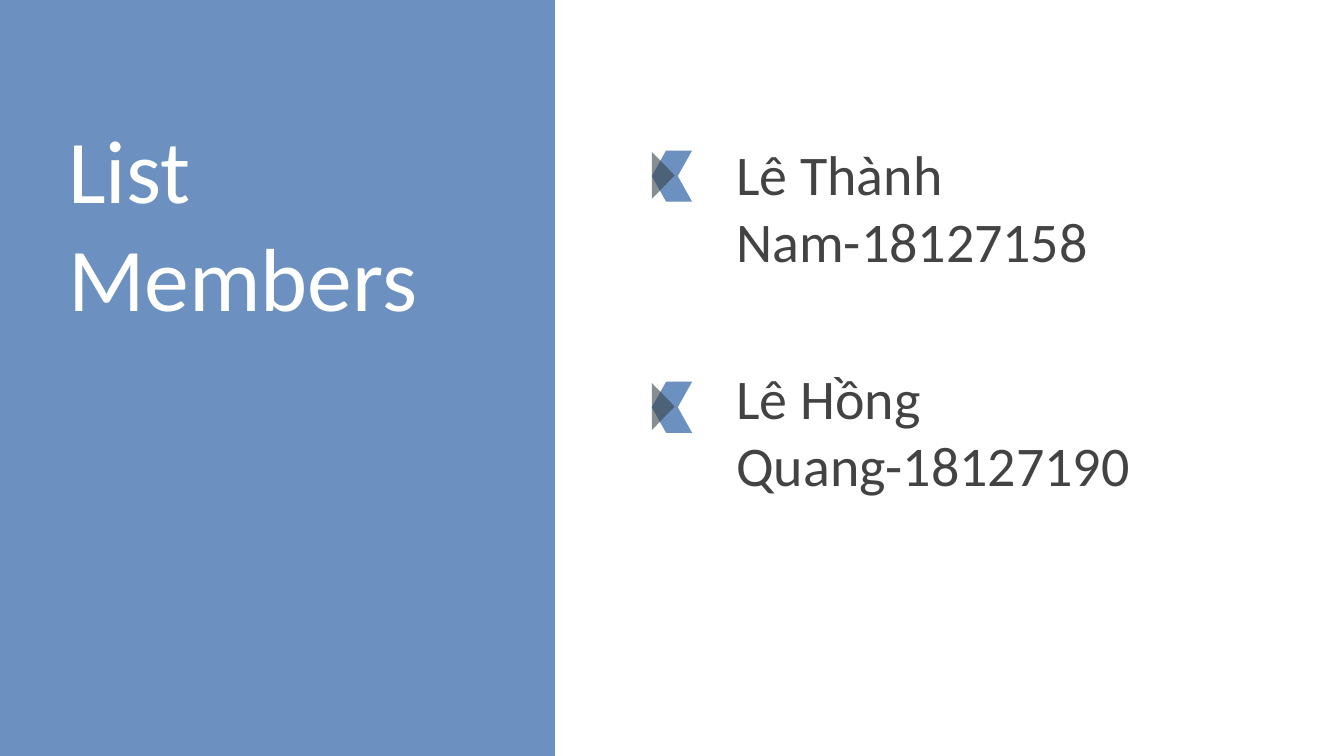
from lxml import etree
from pptx import Presentation
from pptx import util as u
from pptx.dml import color
from pptx.enum import shapes, text
from pptx.oxml import ns

BLUE, SLATE, GREY, WHITE = "5E85B9", "38444A", "434343", "FFFFFF"
KIND = shapes.MSO_SHAPE
WIDE = 10
HIGH = WIDE * 9 / 16


def rgb(code):
    return color.RGBColor.from_string(code)


class Deck:
    font = "Calibri"

    def __init__(self, wide, high):
        self.prs = Presentation()
        self.prs.slide_width = u.Inches(wide)
        self.prs.slide_height = u.Inches(high)
        self.slide = self.prs.slides.add_slide(self.prs.slide_layouts[6])

    def shape(self, kind, box, fill, alpha, adj=None, turn=0, flip=False):
        item = self.slide.shapes.add_shape(kind, *map(u.Inches, box))
        item.shadow.inherit = False
        item.line.fill.background()
        item.fill.solid()
        item.fill.fore_color.rgb = rgb(fill)
        item.rotation = turn
        if adj is not None:
            item.adjustments[0] = adj
        # Transparency and mirroring need XML
        node = item._element.spPr.find(".//" + ns.qn("a:srgbClr"))
        etree.SubElement(node, ns.qn("a:alpha"), val=str(alpha * 1000))
        if flip:
            item._element.spPr.find(ns.qn("a:xfrm")).set("flipH", "1")

    def label(self, words, box, size, ink, anchor):
        frame = self.slide.shapes.add_textbox(*map(u.Inches, box)).text_frame
        frame.word_wrap = True
        frame.vertical_anchor = anchor
        frame.margin_left = frame.margin_right = u.Inches(0.1)
        frame.margin_top = frame.margin_bottom = u.Inches(0.1)
        frame.text = words
        for para in frame.paragraphs:
            for run in para.runs:
                run.font.name = self.font
                run.font.size = u.Pt(size)
                run.font.color.rgb = rgb(ink)

    def mark(self, top):
        # Two mirrored slants with a triangle across them
        for row in range(2):
            self.shape(KIND.PARALLELOGRAM, (4.85, top + row * 0.19, 0.3, 0.19),
                       BLUE, 91, adj=0.56, flip=row == 1)
        self.shape(KIND.ISOSCELES_TRIANGLE, (4.76, top + 0.1, 0.35, 0.17),
                   SLATE, 60, adj=0.5, turn=90)


def main():
    deck = Deck(WIDE, HIGH)

    # Side panel and title
    deck.shape(KIND.RECTANGLE, (0, 0, 4.13, HIGH), BLUE, 91)
    deck.label("List\vMembers", (0.41, 0.75, 3.92, 1.93), 48, WHITE,
               text.MSO_ANCHOR.TOP)

    # Members
    members = [("Lê Thành Nam-18127158", 1.12, 1.28),
               ("Lê Hồng Quang-18127190", 2.84, 2.95)]
    for name, top, line in members:
        deck.mark(top)
        deck.label(name, (5.38, line, 3.85, 0.51), 30, GREY,
                   text.MSO_ANCHOR.MIDDLE)

    deck.prs.save("out.pptx")


if __name__ == "__main__":
    main()
